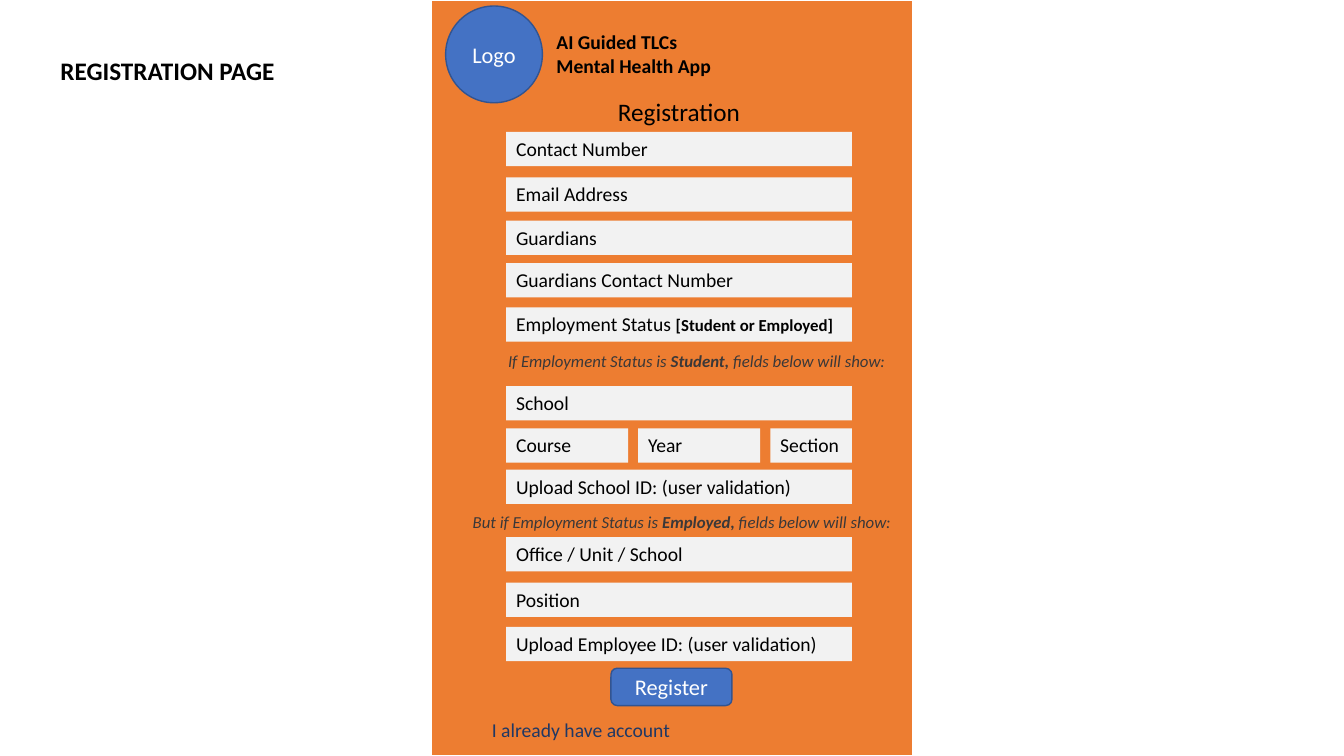
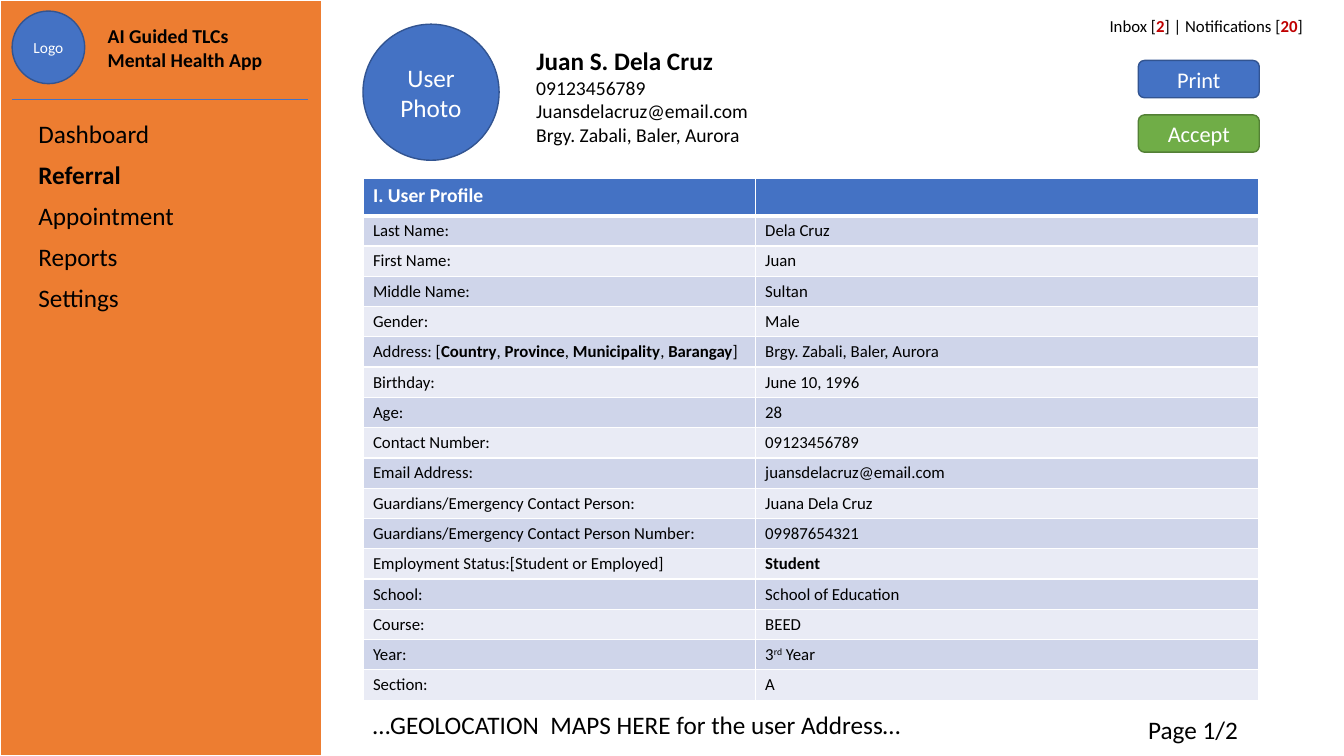
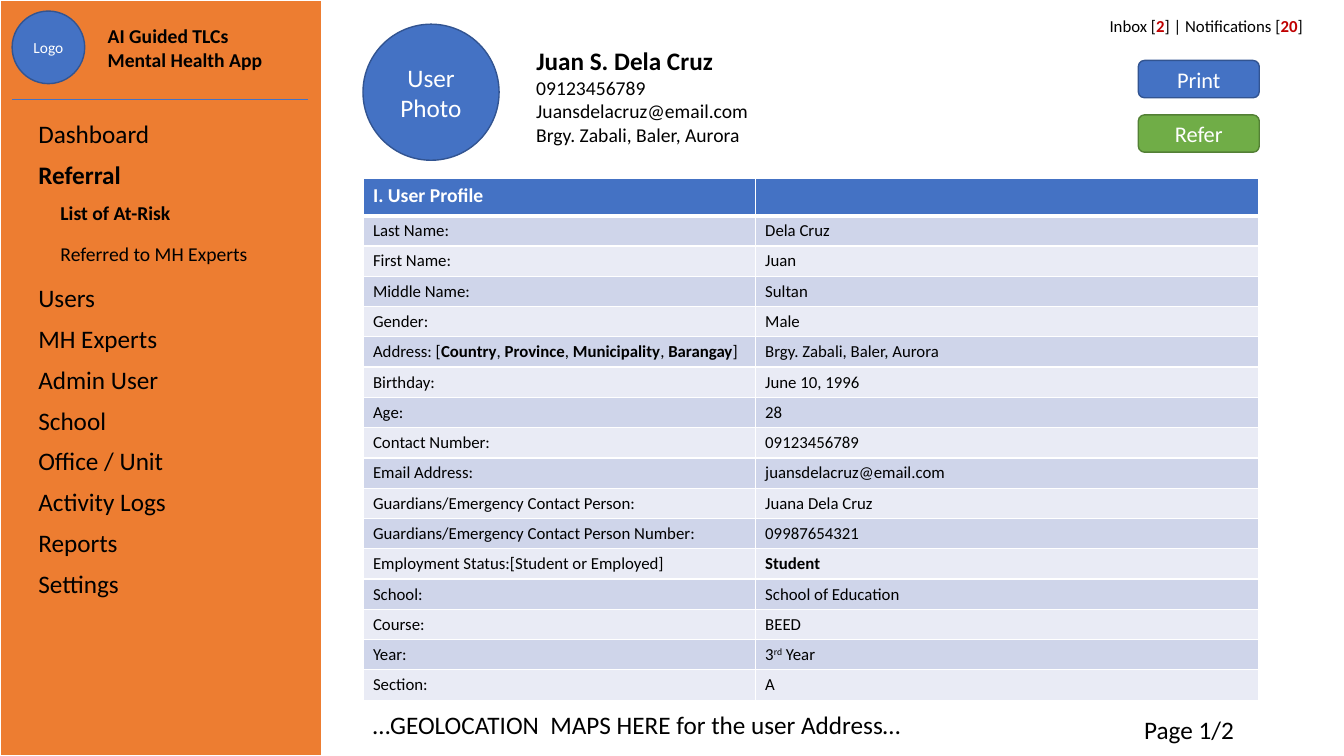
import pptx
import pptx.util
import pptx.dml.color
import pptx.enum.shapes
import pptx.enum.text
import pptx.oxml
import pptx.oxml.ns

Inch, Pt = pptx.util.Inches, pptx.util.Pt
Kind = pptx.enum.shapes.MSO_SHAPE
Align, Anchor = pptx.enum.text.PP_ALIGN, pptx.enum.text.MSO_ANCHOR

# Shared look
WIDE, HIGH = 13.33, 7.5
FONT = "Calibri"
ORANGE, BLUE, NAVY = "ED7D31", "4472C4", "325491"
GREEN, MOSS = "70AD47", "538035"
WHITE, BLACK, PALE, RED = "FFFFFF", "000000", "F2F2F2", "C00000"
INK, GREY = "203864", "3B3838"
BANDS = "E9EBF5", "CFD5EA"
PLAIN = "{2D5ABB26-0587-4C30-8999-92F81FD0307C}"  # no style, no grid

# Content: *bold*, ^superscript^
APP = "AI Guided TLCs Mental Health App"
FORM = [  # top of the row, its fields
    (1.31, ["Contact Number"]),
    (1.76, ["Email Address"]),
    (2.19, ["Guardians"]),
    (2.61, ["Guardians Contact Number"]),
    (3.05, ["Employment Status *[Student or Employed]*"]),
    (3.83, ["School"]),
    (4.25, ["Course", "Year", "Section"]),
    (4.66, ["Upload School ID: (user validation)"]),
    (5.33, ["Office / Unit / School"]),
    (5.78, ["Position"]),
    (6.22, ["Upload Employee ID: (user validation)"]),
]
NOTES = [
    (4.94, 3.43, 4.02, "If Employment Status is *Student, *fields below will show:"),
    (4.59, 5.03, 4.47, "But if Employment Status is *Employed,* fields below will show:"),
]
NAME = "Juan S. Dela Cruz"
REACH = ["09123456789", "Juansdelacruz@email.com", "Brgy. Zabali, Baler, Aurora"]
USER = [
    ("I. User Profile", ""),
    ("Last Name:", "Dela Cruz"),
    ("First Name:", "Juan"),
    ("Middle Name:", "Sultan"),
    ("Gender:", "Male"),
    ("Address: [*Country*, *Province*, *Municipality*, *Barangay*]",
     "Brgy. Zabali, Baler, Aurora"),
    ("Birthday:", "June 10, 1996"),
    ("Age:", "28"),
    ("Contact Number:", "09123456789"),
    ("Email Address:", "juansdelacruz@email.com"),
    ("Guardians/Emergency Contact Person:", "Juana Dela Cruz"),
    ("Guardians/Emergency Contact Person Number:", "09987654321"),
    ("Employment Status:[Student or Employed]", "*Student*"),
    ("School:", "School of Education"),
    ("Course:", "BEED"),
    ("Year:", "3^rd^ Year"),
    ("Section:", "A"),
]
PAGES = [  # menu of (level, label), menu rows, green button, left of page number
    ([(0, "Dashboard"), (0, "*Referral*"), (0, "Appointment"),
      (0, "Reports"), (0, "Settings")], 8, "Accept", 11.29),
    ([(0, "Dashboard"), (0, "*Referral*"), (1, "*List of At-Risk*"),
      (1, "Referred to MH Experts"), (0, "Users"), (0, "MH Experts"),
      (0, "Admin User"), (0, "School"), (0, "Office / Unit"),
      (0, "Activity Logs"), (0, "Reports"), (0, "Settings")], 12, "Refer", 11.25),
]


def tint(code):
    return pptx.dml.color.RGBColor.from_string(code)


def write(frame, lines, size, color=BLACK, bold=False, italic=False,
          align=Align.LEFT, mark=None, small=None):
    """Fill a text frame; mark and small restyle the starred runs."""
    lines = [lines] if isinstance(lines, str) else lines
    for row, line in enumerate(lines):
        para = frame.add_paragraph() if row else frame.paragraphs[0]
        para.alignment = align
        font = para.font
        font.name, font.size = FONT, Pt(size)
        font.bold, font.italic = bold, italic
        font.color.rgb = tint(color)
        for i, part in enumerate(line.split("*")):
            for j, text in enumerate(part.split("^")):
                if not text:
                    continue
                run = para.add_run()
                run.text = text
                if i % 2:
                    run.font.bold = True
                    if mark:
                        run.font.color.rgb = tint(mark)
                    if small:
                        run.font.size = Pt(small)
                if j % 2:
                    run._r.get_or_add_rPr().set("baseline", "30000")


def label(slide, box, lines, size, **style):
    frame = slide.shapes.add_textbox(*map(Inch, box)).text_frame
    frame.word_wrap = True
    write(frame, lines, size, **style)


def shape(slide, kind, box, fill, line=None, weight=1):
    item = slide.shapes.add_shape(kind, *map(Inch, box))
    item.shadow.inherit = False
    item.fill.solid()
    item.fill.fore_color.rgb = tint(fill)
    if line:
        item.line.color.rgb = tint(line)
        item.line.width = Pt(weight)
    else:
        item.line.fill.background()
    return item


def badge(slide, kind, box, text, size, fill=BLUE, line=NAVY):
    """Circle or button with centred white text."""
    frame = shape(slide, kind, box, fill, line).text_frame
    frame.margin_left = frame.margin_right = 0
    frame.vertical_anchor = Anchor.MIDDLE
    write(frame, text, size, WHITE, align=Align.CENTER)


def button(slide, left, top, text, *paint):
    badge(slide, Kind.ROUNDED_RECTANGLE, (left, top, 1.2, 0.37), text, 16, *paint)


def field(slide, box, text):
    frame = shape(slide, Kind.RECTANGLE, box, PALE).text_frame
    frame.vertical_anchor = Anchor.TOP
    write(frame, text, 14, small=12)


def start(deck, title, box):
    slide = deck.slides.add_slide(deck.slide_layouts[5])
    head = slide.shapes.title
    head.left, head.top, head.width, head.height = map(Inch, box)
    frame = head.text_frame
    frame.auto_size = pptx.enum.text.MSO_AUTO_SIZE.NONE
    frame.vertical_anchor = Anchor.TOP
    write(frame, title, 18, bold=True)
    return slide


def panel(slide, left, width):
    shape(slide, Kind.RECTANGLE, (left, 0, width, HIGH), ORANGE, WHITE, 1.5)


def brand(slide, left, top, size, font, gap, drop):
    badge(slide, Kind.OVAL, (left, top, size, size), "Logo", font)
    label(slide, (left + size + gap, top + drop, 1.83, 0.57), APP, 14, bold=True)


def grid(slide, left, top, cols, rows):
    item = slide.shapes.add_table(len(rows), len(cols), Inch(left), Inch(top),
                                  Inch(sum(cols)), Inch(sum(rows)))
    table = item.table
    table.first_row = table.horz_banding = False
    table._tbl.tblPr.find(pptx.oxml.ns.qn("a:tableStyleId")).text = PLAIN
    for col, width in zip(table.columns, cols):
        col.width = Inch(width)
    for row, height in zip(table.rows, rows):
        row.height = Inch(height)
    return table


def border(cell, top, bottom):
    space = pptx.oxml.ns.nsdecls("a")
    for side, weight in zip("LRTB", (1, 1, top, bottom)):
        cell._tc.get_or_add_tcPr().append(pptx.oxml.parse_xml(
            f'<a:ln{side} {space} w="{Pt(weight)}"><a:solidFill>'
            f'<a:srgbClr val="{WHITE}"/></a:solidFill></a:ln{side}>'))


def menu(slide, items, count):
    table = grid(slide, 0.28, 1.14, [2.64], [4.87 / 12] * count)
    for row, (level, text) in enumerate(items):
        cell = table.cell(row, 0)
        cell.margin_left = Inch(0.1 + 0.22 * level)
        write(cell.text_frame, text, 14 if level else 18)


def profile(slide):
    table = grid(slide, 3.6, 1.77, [3.89, 4.99], [0.37] + [0.3] * (len(USER) - 1))
    for row, pair in enumerate(USER):
        for col, text in enumerate(pair):
            cell = table.cell(row, col)
            border(cell, 3 if row == 1 else 1, 1 if row else 3)
            cell.fill.solid()
            cell.fill.fore_color.rgb = tint(BANDS[row % 2] if row else BLUE)
            if row:
                write(cell.text_frame, text, 12)
            else:
                write(cell.text_frame, text, 14, WHITE, bold=True)


def register(deck):
    slide = start(deck, "REGISTRATION PAGE", (0.5, 0.5, 2.54, 0.4))
    panel(slide, 4.27, 4.79)
    brand(slide, 4.42, 0.06, 0.96, 16, 0.04, 0.19)
    label(slide, (5.4, 0.91, 2.67, 0.4), "Registration", 18, align=Align.CENTER)
    left, full, part, gap = 5.02, 3.43, 1.21, 0.1
    for top, names in FORM:
        for col, name in enumerate(names):
            shift = col * (part + gap)
            end = col == len(names) - 1
            field(slide, (left + shift, top, full - shift if end else part, 0.34), name)
    for x, y, width, text in NOTES:
        label(slide, (x, y, width, 0.3), text, 12, color=GREY, italic=True)
    button(slide, 6.06, 6.63, "Register")
    label(slide, (4.78, 7.07, 3.1, 0.34), "I already have account", 14, color=INK)


def person(deck, items, count, action, left):
    slide = start(deck, NAME, (5.22, 0.4, 3.44, 0.4))
    # Side menu
    panel(slide, 0, 3.19)
    brand(slide, 0.12, 0.11, 0.72, 11, 0.13, 0.08)
    rule = slide.shapes.add_connector(
        pptx.enum.shapes.MSO_CONNECTOR.STRAIGHT,
        Inch(0.12), Inch(0.99), Inch(3.05), Inch(0.99))
    rule.line.color.rgb = tint(BLUE)
    rule.line.width = Pt(0.5)
    rule._element.spPr.append(pptx.oxml.parse_xml(
        f'<a:effectLst {pptx.oxml.ns.nsdecls("a")}/>'))
    menu(slide, items, count)
    # Header
    badge(slide, Kind.OVAL, (3.6, 0.24, 1.35, 1.35), "User Photo", 18)
    label(slide, (5.22, 0.7, 3.44, 0.81), REACH, 14)
    label(slide, (10.36, 0.11, 2.66, 0.3), "Inbox [*2*] | Notifications [*20*]",
          12, align=Align.RIGHT, mark=RED)
    button(slide, 11.29, 0.6, "Print")
    button(slide, 11.29, 1.14, action, GREEN, MOSS)
    # Body and footer
    profile(slide)
    label(slide, (3.6, 6.99, 5.87, 0.4),
          "…GEOLOCATION  MAPS HERE for the user Address…", 18)
    label(slide, (left, 7.04, 1.24, 0.4), "Page 1/2", 18)


def main():
    deck = pptx.Presentation()
    deck.slide_width, deck.slide_height = Inch(WIDE), Inch(HIGH)
    register(deck)
    for page in PAGES:
        person(deck, *page)
    deck.save("out.pptx")


if __name__ == "__main__":
    main()
